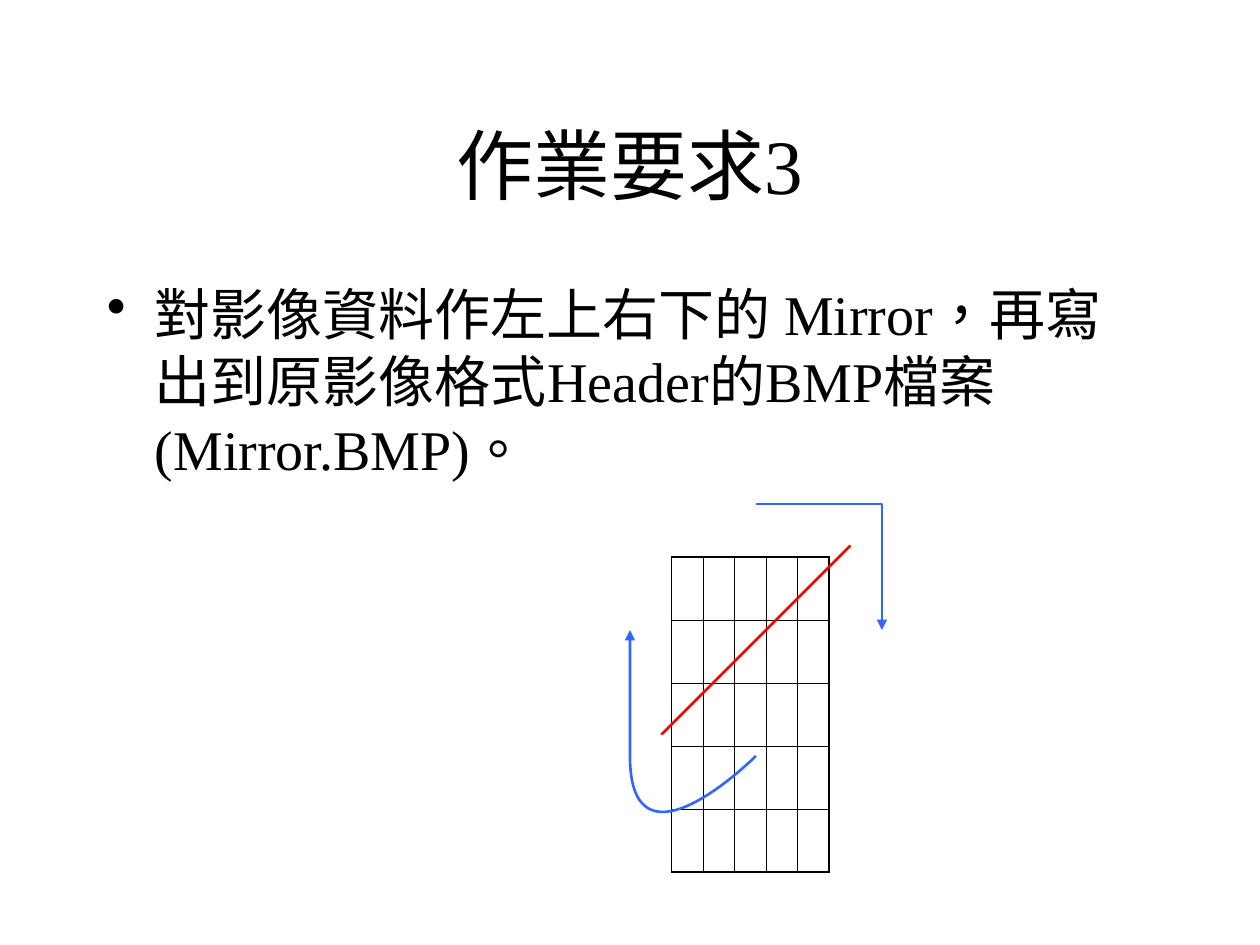
from dataclasses import dataclass

from lxml.etree import SubElement
from pptx import Presentation
from pptx.dml.color import RGBColor
from pptx.enum.lang import MSO_LANGUAGE_ID
from pptx.enum.shapes import MSO_CONNECTOR
from pptx.enum.text import MSO_ANCHOR, PP_ALIGN
from pptx.oxml.ns import qn
from pptx.util import Inches, Pt


@dataclass(frozen=True)
class Theme:
    """Colours, font and sizes of the slide."""
    font: str = "Times New Roman"
    ink: str = "000000"
    axis: str = "FF0000"
    arrow: str = "3366FF"
    title: int = 44
    body: int = 32
    cell: int = 24
    line: float = 1.5
    outer: float = 1.08
    inner: float = 0.45


THEME = Theme()


def add_text(s, text, box, size, align=PP_ALIGN.LEFT, anchor=MSO_ANCHOR.TOP, bullet=None):
    """Add a wrapped text box holding one paragraph."""
    tf = s.shapes.add_textbox(*map(Inches, box)).text_frame
    tf.word_wrap = True
    tf.vertical_anchor = anchor
    p = tf.paragraphs[0]
    p.alignment = align
    if bullet:
        pPr = p._p.get_or_add_pPr()
        pPr.set("marL", str(Inches(0.38)))
        pPr.set("indent", str(-Inches(0.38)))
        SubElement(pPr, qn("a:buChar"), char=bullet)
    r = p.add_run()
    r.text = text
    r.font.name = THEME.font
    r.font.size = Pt(size)
    r.font.color.rgb = RGBColor.from_string(THEME.ink)
    r.font.language_id = MSO_LANGUAGE_ID.TRADITIONAL_CHINESE


def set_border(cell, side, width):
    """Draw one solid border of a cell."""
    ln = SubElement(cell._tc.get_or_add_tcPr(), qn(f"a:ln{side}"), w=str(Pt(width)))
    SubElement(SubElement(ln, qn("a:solidFill")), qn("a:srgbClr"), val=THEME.ink)


def add_grid(s, left, top, count, width, height):
    """Add an empty square grid with a heavier outer border."""
    table = s.shapes.add_table(count, count, Inches(left), Inches(top),
                               Inches(count * width), Inches(count * height)).table
    table.first_row = table.horz_banding = False
    last = count - 1
    for i, row in enumerate(table.rows):
        for j, cell in enumerate(row.cells):
            edges = {"L": j == 0, "R": j == last, "T": i == 0, "B": i == last}
            for side, is_outer in edges.items():
                set_border(cell, side, THEME.outer if is_outer else THEME.inner)
            cell.fill.background()
            end = SubElement(cell.text_frame.paragraphs[0]._p, qn("a:endParaRPr"),
                             sz=str(THEME.cell * 100))
            SubElement(end, qn("a:latin"), typeface=THEME.font)


def style_line(sp, color):
    """Set the colour and width of a line."""
    sp.line.color.rgb = RGBColor.from_string(color)
    sp.line.width = Pt(THEME.line)


def add_line(s, start, end, color):
    """Add a straight line without a shadow."""
    sp = s.shapes.add_connector(MSO_CONNECTOR.STRAIGHT, *map(Inches, start + end))
    style_line(sp, color)
    SubElement(sp._element.spPr, qn("a:effectLst"))


def add_curved_arrow(s, points, color):
    """Add an arrow through cubic curves, three points for each after the start."""
    builder = s.shapes.build_freeform(*points[0], scale=Inches(1))
    builder.add_line_segments(points[1:], close=False)
    sp = builder.convert_to_shape()
    sp.shadow.inherit = False
    sp.fill.background()
    style_line(sp, color)
    SubElement(sp.line._get_or_add_ln(), qn("a:tailEnd"), type="triangle")
    segments = list(sp._element.iter(qn("a:lnTo")))
    outline = segments[0].getparent()
    for i in range(0, len(segments), 3):
        curve = SubElement(outline, qn("a:cubicBezTo"))
        for segment in segments[i:i + 3]:
            curve.append(segment[0])
            outline.remove(segment)


def main():
    """Build the slide and save it."""
    prs = Presentation()
    prs.slide_width, prs.slide_height = Inches(10), Inches(7.5)
    s = prs.slides.add_slide(prs.slide_layouts[6])
    add_text(s, "作業要求3", (0.75, 0.67, 8.5, 1.25), THEME.title,
             align=PP_ALIGN.CENTER, anchor=MSO_ANCHOR.MIDDLE)
    add_text(s, "對影像資料作左上右下的 Mirror，再寫出到原影像格式Header的BMP檔案 (Mirror.BMP)。",
             (0.75, 2.17, 8.5, 4.5), THEME.body, bullet="•")
    add_grid(s, 5.33, 4.42, 5, 0.25, 0.27)
    add_line(s, (6.75, 4.33), (5.25, 5.83), THEME.axis)
    upper = [(6, 4.15), (6.1, 3.99), (6.21, 3.83), (6.38, 3.77),
             (6.54, 3.71), (6.85, 3.67), (7, 3.77),
             (7.15, 3.87), (7.27, 4.21), (7.25, 4.4),
             (7.23, 4.58), (7.05, 4.74), (6.88, 4.9)]
    lower = [(5.81, 6), (5.86, 6.02), (5.92, 6.04), (5.81, 6.13),
             (5.71, 6.21), (5.37, 6.56), (5.19, 6.5),
             (5, 6.44), (4.71, 5.96), (4.69, 5.75),
             (4.67, 5.54), (4.98, 5.33), (5.06, 5.25)]
    for points in (upper, lower):
        add_curved_arrow(s, points, THEME.arrow)
    prs.save("out.pptx")


if __name__ == "__main__":
    main()
